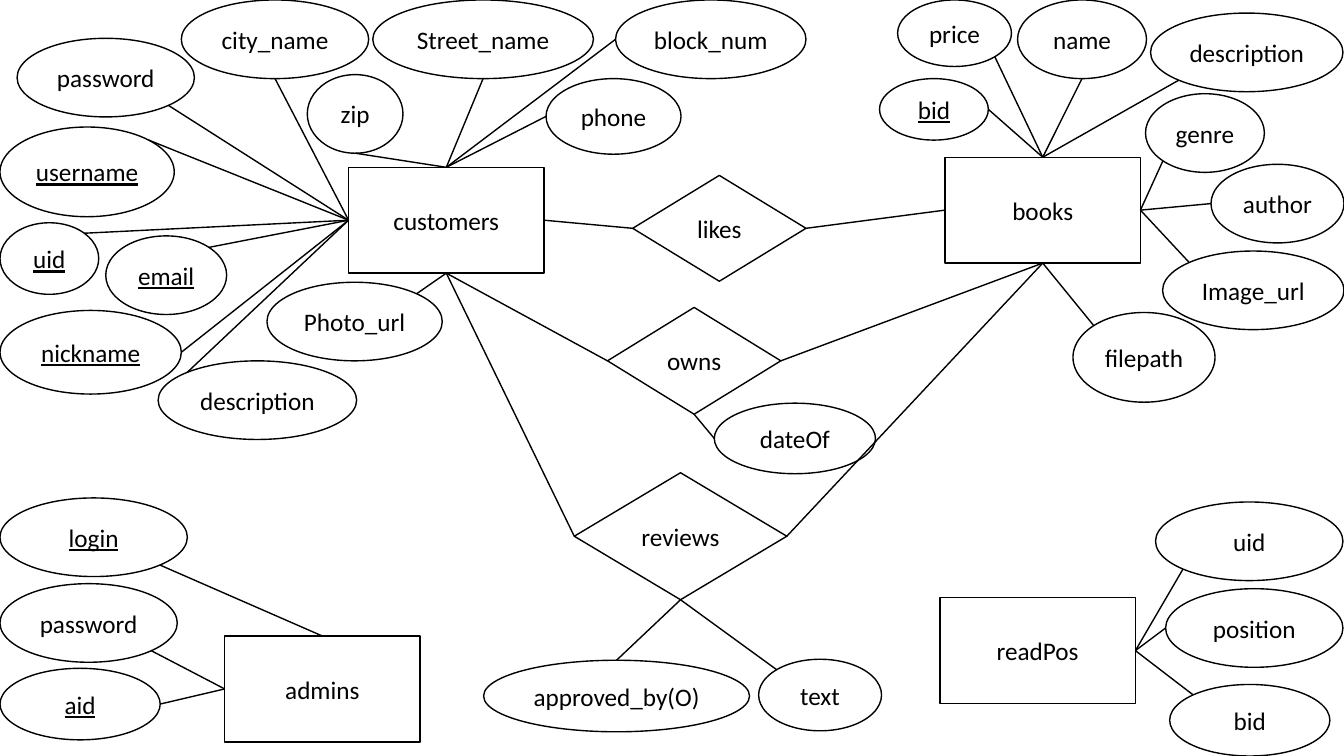
from dataclasses import dataclass
from enum import IntEnum
from math import cos, radians, sin

from lxml import etree
from pptx import Presentation
from pptx import util as u
from pptx.dml import color
from pptx.enum import shapes, text
from pptx.oxml import ns

COLORS = {"paper": "FFFFFF", "ink": "000000"}
FONT = "Calibri"
ENTITY_SIZE = (1.94, 1.05)


class Side(IntEnum):
    TOP = 0
    LEFT = 1
    BOTTOM = 2
    RIGHT = 3


class Site(IntEnum):
    RIGHT = 0
    BOTTOM_RIGHT = 45
    BOTTOM = 90
    BOTTOM_LEFT = 135
    LEFT = 180
    TOP_LEFT = 225
    TOP = 270
    TOP_RIGHT = 315


@dataclass
class Entity:
    name: str
    left: float
    top: float


@dataclass
class Relationship:
    name: str
    left: float
    top: float
    width: float
    height: float


@dataclass
class Attribute:
    name: str
    left: float
    top: float
    width: float
    height: float
    owner: str
    side: Side
    site: Site
    key: bool = False

    def touch_point(self) -> tuple[float, float]:
        angle = radians(self.site)
        return (self.left + self.width / 2 * (1 + cos(angle)),
                self.top + self.height / 2 * (1 + sin(angle)))


@dataclass
class Link:
    start: str
    start_side: Side
    end: str
    end_side: Side


ENTITIES = [
    Entity("customers", 3.46, 1.66),
    Entity("books", 9.38, 1.56),
    Entity("admins", 2.23, 6.31),
    Entity("readPos", 9.33, 5.93),
]

RELATIONSHIPS = [
    Relationship("owns", 6.03, 3.05, 1.72, 1.06),
    Relationship("likes", 6.28, 1.74, 1.72, 1.05),
    Relationship("reviews", 5.7, 4.69, 2.11, 1.26),
]

ATTRIBUTES = [
    Attribute("uid", 0, 2.21, 0.98, 0.71, "customers", Side.LEFT, Site.TOP_RIGHT, True),
    Attribute("nickname", 0, 3.08, 1.8, 0.83, "customers", Side.LEFT, Site.RIGHT, True),
    Attribute("email", 1.05, 2.34, 1.2, 0.78, "customers", Side.LEFT, Site.TOP_RIGHT, True),
    Attribute("username", 0, 1.26, 1.73, 0.89, "customers", Side.LEFT, Site.TOP_RIGHT, True),
    Attribute("Street_name", 3.7, 0, 2.19, 0.78, "customers", Side.TOP, Site.BOTTOM),
    Attribute("block_num", 6.11, 0, 1.89, 0.78, "customers", Side.TOP, Site.LEFT),
    Attribute("city_name", 1.8, 0, 1.86, 0.78, "customers", Side.LEFT, Site.BOTTOM),
    Attribute("zip", 3.05, 0.74, 0.95, 0.78, "customers", Side.TOP, Site.BOTTOM),
    Attribute("password", 0.17, 0.38, 1.76, 0.78, "customers", Side.LEFT, Site.BOTTOM_RIGHT),
    Attribute("phone", 5.42, 0.78, 1.34, 0.75, "customers", Side.TOP, Site.LEFT),
    Attribute("Photo_url", 2.65, 2.8, 1.74, 0.78, "customers", Side.BOTTOM, Site.TOP_RIGHT),
    Attribute("description", 1.57, 3.58, 1.97, 0.78, "customers", Side.LEFT, Site.TOP_LEFT),
    Attribute("bid", 8.73, 0.78, 1.08, 0.61, "books", Side.TOP, Site.RIGHT, True),
    Attribute("filepath", 10.65, 3.1, 1.41, 0.89, "books", Side.BOTTOM, Site.TOP_LEFT),
    Attribute("description", 11.42, 0.13, 1.91, 0.78, "books", Side.TOP, Site.BOTTOM_LEFT),
    Attribute("author", 12.02, 1.63, 1.32, 0.78, "books", Side.RIGHT, Site.LEFT),
    Attribute("name", 10.1, 0, 1.28, 0.78, "books", Side.TOP, Site.BOTTOM),
    Attribute("genre", 11.37, 0.93, 1.18, 0.78, "books", Side.RIGHT, Site.BOTTOM_LEFT),
    Attribute("price", 8.91, 0, 1.13, 0.66, "books", Side.TOP, Site.BOTTOM_RIGHT),
    Attribute("Image_url", 11.54, 2.49, 1.8, 0.78, "books", Side.RIGHT, Site.TOP_LEFT),
    Attribute("aid", 0, 6.63, 1.59, 0.71, "admins", Side.LEFT, Site.RIGHT, True),
    Attribute("login", 0, 4.94, 1.86, 0.78, "admins", Side.TOP, Site.BOTTOM_RIGHT, True),
    Attribute("password", 0, 5.79, 1.76, 0.78, "admins", Side.LEFT, Site.BOTTOM_RIGHT),
    Attribute("bid", 11.61, 6.79, 1.59, 0.71, "readPos", Side.RIGHT, Site.TOP_LEFT),
    Attribute("uid", 11.47, 4.98, 1.86, 0.78, "readPos", Side.RIGHT, Site.BOTTOM_LEFT),
    Attribute("position", 11.57, 5.84, 1.76, 0.78, "readPos", Side.RIGHT, Site.LEFT),
    Attribute("dateOf", 7.09, 4, 1.6, 0.7, "owns", Side.BOTTOM, Site.LEFT),
    Attribute("text", 7.53, 6.54, 1.22, 0.71, "reviews", Side.BOTTOM, Site.TOP_LEFT),
    Attribute("approved_by(O)", 4.8, 6.55, 2.64, 0.71, "reviews", Side.BOTTOM, Site.TOP),
]

LINKS = [
    Link("owns", Side.RIGHT, "books", Side.BOTTOM),
    Link("customers", Side.BOTTOM, "owns", Side.LEFT),
    Link("likes", Side.RIGHT, "books", Side.LEFT),
    Link("customers", Side.RIGHT, "likes", Side.LEFT),
    Link("reviews", Side.RIGHT, "books", Side.BOTTOM),
    Link("reviews", Side.LEFT, "customers", Side.BOTTOM),
]


def rgb(name: str) -> color.RGBColor:
    return color.RGBColor.from_string(COLORS[name])


def write_text(shape, content: str, *, size: float = 18, underline: bool = False,
               ink: str = "ink") -> None:
    frame = shape.text_frame
    frame.word_wrap = False
    frame.vertical_anchor = text.MSO_ANCHOR.MIDDLE
    paragraph = frame.paragraphs[0]
    paragraph.alignment = text.PP_ALIGN.CENTER
    run = paragraph.add_run()
    run.text = content
    run.font.name = FONT
    run.font.size = u.Pt(size)
    run.font.underline = underline
    run.font.color.rgb = rgb(ink)


def draw_node(slide, kind: shapes.MSO_SHAPE, name: str, left: float, top: float,
              width: float, height: float, underline: bool = False):
    shape = slide.shapes.add_shape(kind, *map(u.Inches, (left, top, width, height)))
    shape.shadow.inherit = False
    shape.fill.solid()
    shape.fill.fore_color.rgb = rgb("paper")
    shape.line.color.rgb = rgb("ink")
    shape.line.width = u.Pt(1)
    write_text(shape, name, underline=underline)
    return shape


def draw_line(slide, start_shape, start_side: Side, end: tuple[float, float] = (0, 0)):
    x, y = map(u.Inches, end)
    line = slide.shapes.add_connector(shapes.MSO_CONNECTOR.STRAIGHT, x, y, x, y)
    line.begin_connect(start_shape, int(start_side))
    line.line.color.rgb = rgb("ink")
    line.line.width = u.Pt(1)
    etree.SubElement(line._element.spPr, ns.qn("a:effectLst"))
    return line


def main() -> None:
    presentation = Presentation()
    presentation.slide_width = u.Inches(13.34)
    presentation.slide_height = u.Inches(7.5)
    slide = presentation.slides.add_slide(presentation.slide_layouts[6])

    nodes = {}
    for entity in ENTITIES:
        nodes[entity.name] = draw_node(slide, shapes.MSO_SHAPE.RECTANGLE, entity.name,
                                       entity.left, entity.top, *ENTITY_SIZE)
    for item in RELATIONSHIPS:
        nodes[item.name] = draw_node(slide, shapes.MSO_SHAPE.DIAMOND, item.name,
                                     item.left, item.top, item.width, item.height)
    for item in ATTRIBUTES:
        draw_node(slide, shapes.MSO_SHAPE.OVAL, item.name, item.left, item.top,
                  item.width, item.height, item.key)
    for item in ATTRIBUTES:
        draw_line(slide, nodes[item.owner], item.side, item.touch_point())
    for link in LINKS:
        line = draw_line(slide, nodes[link.start], link.start_side)
        line.end_connect(nodes[link.end], int(link.end_side))

    presentation.save("out.pptx")


if __name__ == "__main__":
    main()
